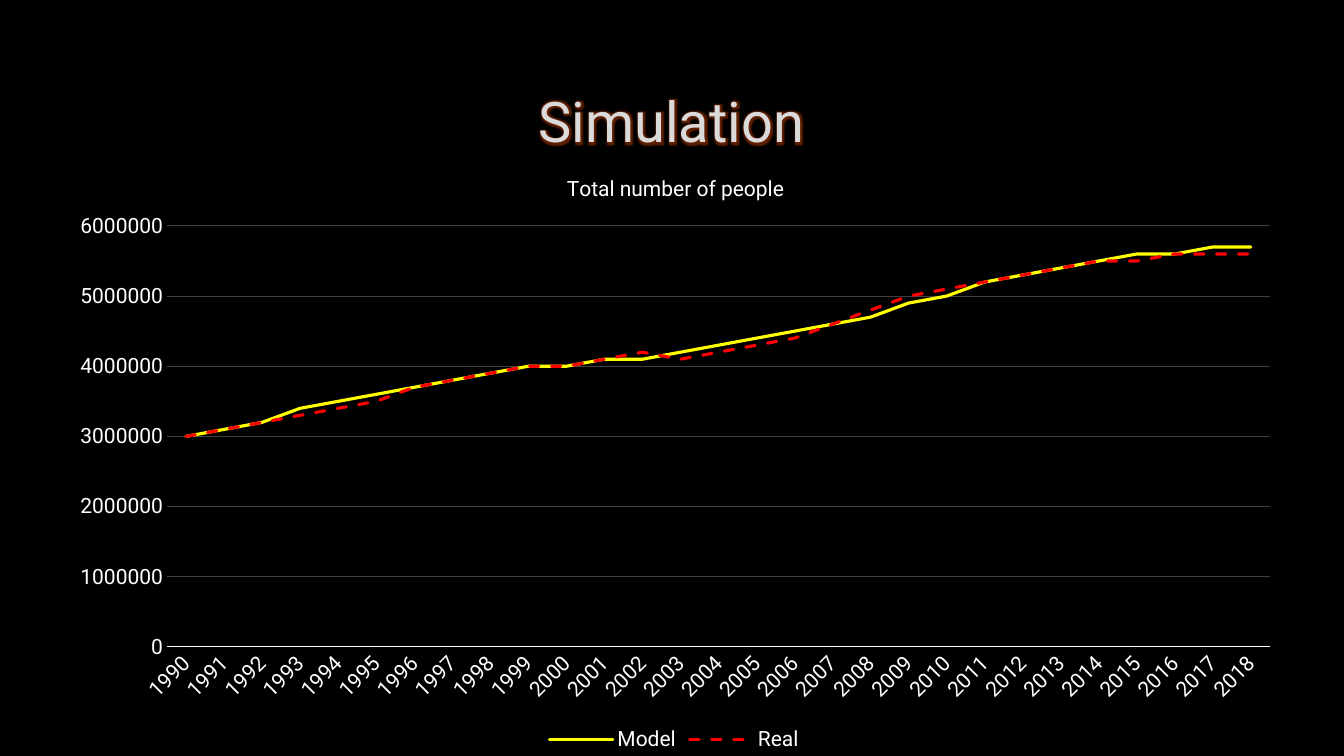
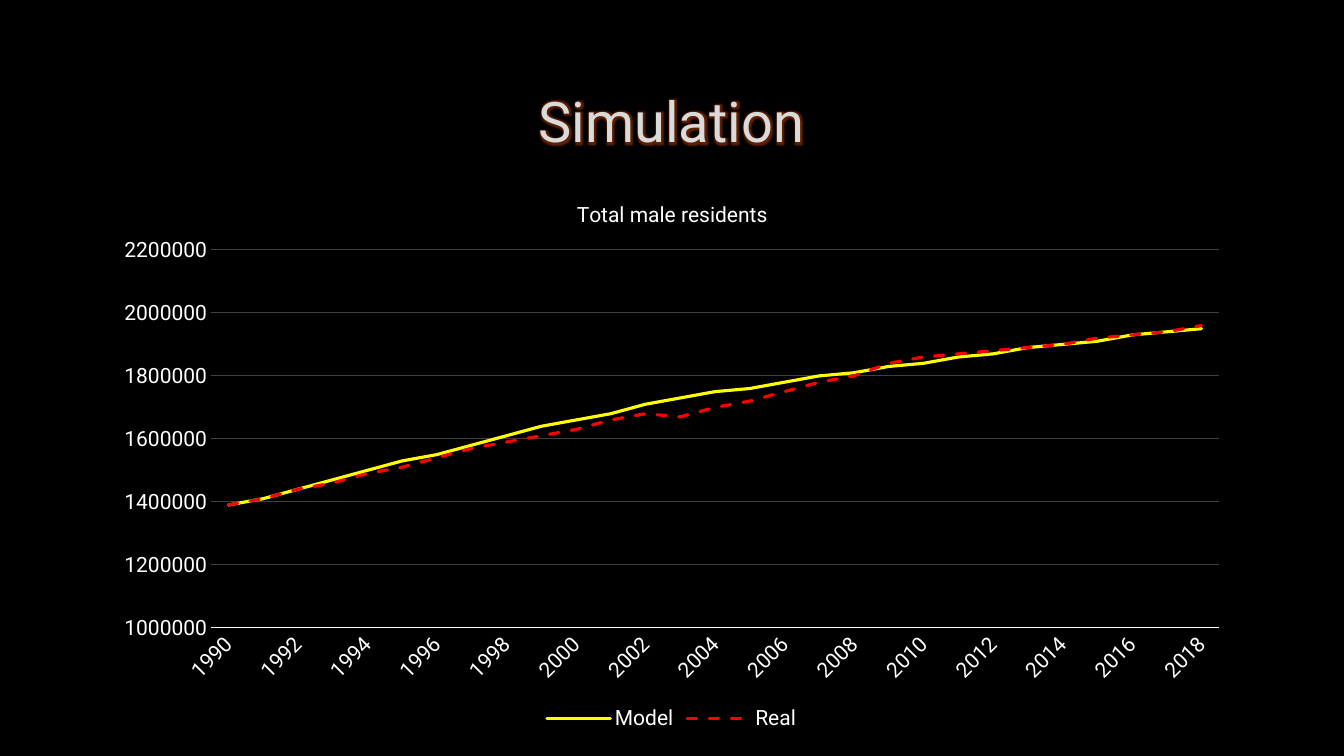
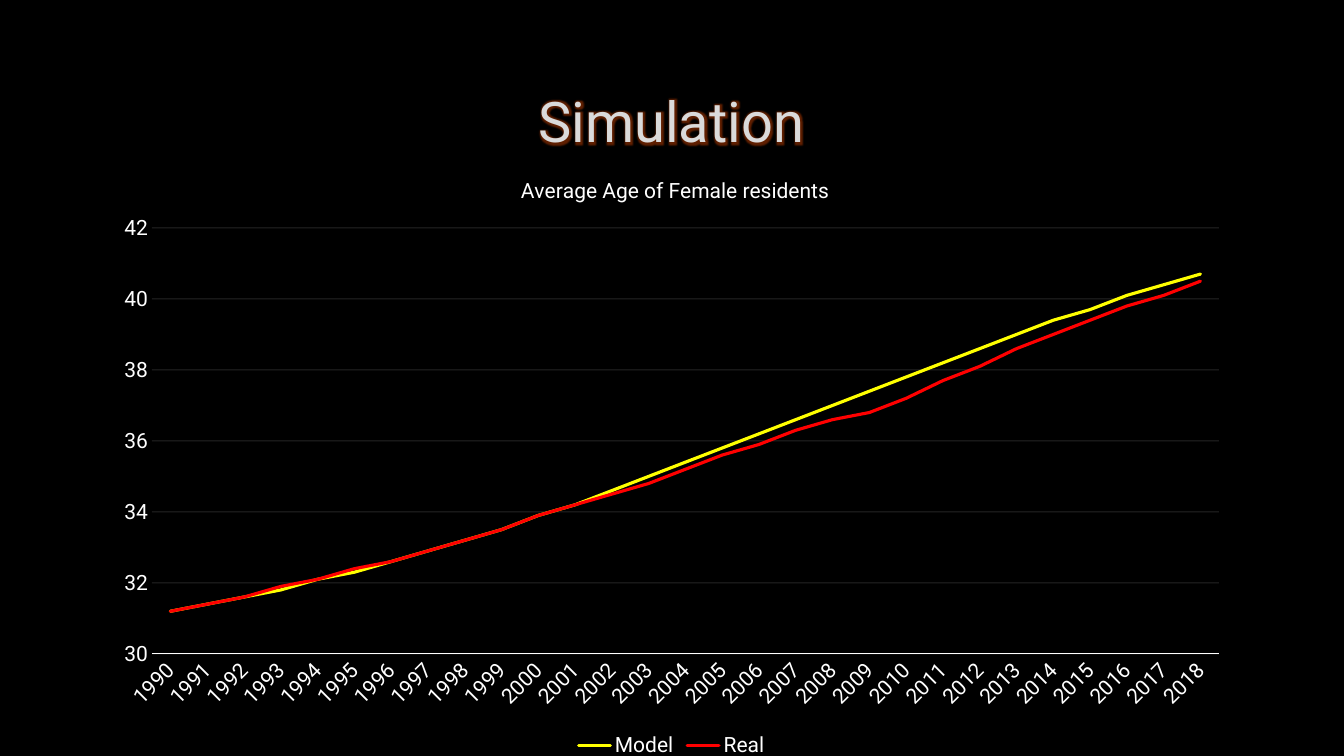
from dataclasses import dataclass

from lxml.etree import SubElement
from pptx import Presentation
from pptx.chart.data import CategoryChartData as ChartData
from pptx.dml.color import RGBColor
from pptx.enum.chart import XL_CHART_TYPE as ChartType
from pptx.enum.chart import XL_LEGEND_POSITION as LegendPosition
from pptx.enum.chart import XL_TICK_MARK as TickMark
from pptx.enum.dml import MSO_LINE as Dash
from pptx.enum.text import MSO_ANCHOR as Anchor
from pptx.enum.text import PP_ALIGN as Align
from pptx.oxml import parse_xml
from pptx.oxml.ns import nsdecls, qn
from pptx.util import Pt

SLIDE_W, SLIDE_H = 1344, 756
EMU_PER_PX = 12192000 / SLIDE_W
YEARS = [str(year) for year in range(1990, 2019)]


@dataclass(frozen=True)
class Theme:
    """Colours, font and type sizes of the deck."""
    font: str = "Roboto"
    background: str = "000000"
    title: str = "DADADA"
    outline: str = "404040"
    glow: str = "F24F00"
    text: str = "FFFFFF"
    grid: str = "404040"
    model: str = "FFFF00"
    real: str = "FF0000"
    title_size: int = 40
    chart_size: int = 15
    hairline: float = 0.75
    curve: float = 2.25


def px(length):
    """Turn px into EMU."""
    return round(length * EMU_PER_PX)


def rgb(colour):
    """Turn a hex string into a colour."""
    return RGBColor.from_string(colour)


def fill_xml(colour, alpha):
    """Return a translucent solid fill, alpha in percent."""
    return (f'<a:solidFill {nsdecls("a")}><a:srgbClr val="{colour}">'
            f'<a:alpha val="{alpha * 1000}"/></a:srgbClr></a:solidFill>')


class Deck:
    """Holds the theme and the current slide."""

    def __init__(self, theme):
        """Start an empty deck."""
        self.theme = theme
        self.prs = Presentation()
        self.prs.slide_width, self.prs.slide_height = px(SLIDE_W), px(SLIDE_H)
        self.slide = None

    def add_slide(self, title):
        """Add a dark slide with its glowing title."""
        self.slide = self.prs.slides.add_slide(self.prs.slide_layouts[6])
        background = self.slide.background.fill
        background.solid()
        background.fore_color.rgb = rgb(self.theme.background)
        self.title(title)

    def style(self, font, size, colour):
        """Set the deck font in one size and colour."""
        font.name, font.size, font.bold = self.theme.font, Pt(size), False
        font.color.rgb = rgb(colour)

    def title(self, text):
        """Place the slide title."""
        theme = self.theme
        box = self.slide.shapes.add_textbox(px(101), px(67), px(1141), px(107))
        frame = box.text_frame
        frame.word_wrap = True
        frame.vertical_anchor = Anchor.MIDDLE
        paragraph = frame.paragraphs[0]
        paragraph.alignment = Align.CENTER
        self.style(paragraph.font, theme.title_size, theme.title)
        run = paragraph.add_run()
        run.text = text
        props = run._r.get_or_add_rPr()
        props.append(parse_xml(
            f'<a:ln {nsdecls("a")} w="{Pt(theme.hairline)}">'
            f'{fill_xml(theme.outline, 10)}</a:ln>'))
        props.append(parse_xml(
            f'<a:effectLst {nsdecls("a")}><a:glow rad="{px(7)}">'
            f'<a:srgbClr val="{theme.glow}"><a:alpha val="40000"/></a:srgbClr>'
            f'</a:glow></a:effectLst>'))

    def place(self, parent, before, frame, area, inner=False):
        """Give a chart part a manual place inside the chart frame."""
        left, top, width, height = frame
        for old in parent.findall(qn("c:layout")):
            parent.remove(old)
        layout = parse_xml(f'<c:layout {nsdecls("c")}><c:manualLayout/></c:layout>')
        manual = layout[0]
        settings = {"layoutTarget": "inner"} if inner else {}
        settings |= {"xMode": "edge", "yMode": "edge",
                     "x": (area[0] - left) / width, "y": (area[1] - top) / height}
        if inner:
            settings |= {"w": area[2] / width, "h": area[3] / height}
        for tag, value in settings.items():
            SubElement(manual, qn(f"c:{tag}")).set("val", str(value))
        parent.insert(before, layout)

    def curve(self, series, colour, dashed):
        """Draw one series as a plain round-capped line."""
        series.smooth = False
        line = series.format.line
        line.color.rgb = rgb(colour)
        line.width = Pt(self.theme.curve)
        if dashed:
            line.dash_style = Dash.DASH
        line._get_or_add_ln().set("cap", "rnd")

    def axes(self, chart, scale, label_step, grid_alpha):
        """Style both axes and the gridlines."""
        theme = self.theme
        years, values = chart.category_axis, chart.value_axis
        for axis in (years, values):
            axis.major_tick_mark = axis.minor_tick_mark = TickMark.NONE
            self.style(axis.tick_labels.font, theme.chart_size, theme.text)
        years.format.line.color.rgb = rgb(theme.text)
        years.format.line.width = Pt(theme.hairline)
        years._element.find(qn("c:txPr")).find(qn("a:bodyPr")).set("rot", "-2700000")
        skip = parse_xml(f'<c:tickLblSkip {nsdecls("c")} val="{label_step}"/>')
        years._element.find(qn("c:noMultiLvlLbl")).addprevious(skip)
        values.minimum_scale, values.maximum_scale, values.major_unit = scale
        values.tick_labels.number_format = "0"
        values.tick_labels.number_format_is_linked = False
        values.format.line.fill.background()
        grid = values.major_gridlines.format.line
        grid.width = Pt(theme.hairline)
        grid.color.rgb = rgb(theme.grid)
        if grid_alpha:
            ln = grid._get_or_add_ln()
            ln.replace(ln.find(qn("a:solidFill")),
                       parse_xml(fill_xml(theme.text, grid_alpha)))

    def line_chart(self, title, title_at, frame, plot, scale, model, real,
                   unit=1, label_step=1, dashed=True, grid_alpha=None):
        """Add a chart of the model against the real values."""
        theme = self.theme
        data = ChartData()
        data.categories = YEARS
        for name, values in (("Model", model), ("Real", real)):
            data.add_series(name, [value * unit for value in values])
        chart = self.slide.shapes.add_chart(
            ChartType.LINE, *map(px, frame), data).chart
        self.style(chart.font, 10, theme.text)

        heading = chart.chart_title.text_frame
        heading.text = title
        self.style(heading.paragraphs[0].font, theme.chart_size, theme.text)
        self.place(chart.chart_title._element, 1, frame, title_at)

        chart.has_legend = True
        chart.legend.position = LegendPosition.BOTTOM
        chart.legend.include_in_layout = False
        self.style(chart.legend.font, theme.chart_size, theme.text)

        chart.plots[0].vary_by_categories = False
        model_line, real_line = chart.plots[0].series
        self.curve(model_line, theme.model, False)
        self.curve(real_line, theme.real, dashed)
        self.axes(chart, scale, label_step, grid_alpha)
        self.place(chart._chartSpace.chart.plotArea, 0, frame, plot, inner=True)


def main():
    """Build and save the deck."""
    deck = Deck(Theme())

    deck.add_slide("Simulation")
    deck.line_chart(
        "Total number of people", (563, 170), (54, 146, 1240, 610),
        (167, 226, 1103, 421), (0, 6000000, 1000000),
        model=[30, 31, 32, 34, 35, 36, 37, 38, 39, 40, 40, 41, 41, 42, 43,
               44, 45, 46, 47, 49, 50, 52, 53, 54, 55, 56, 56, 57, 57],
        real=[30, 31, 32, 33, 34, 35, 37, 38, 39, 40, 40, 41, 42, 41, 42,
              43, 44, 46, 48, 50, 51, 52, 53, 54, 55, 55, 56, 56, 56],
        unit=100000)

    deck.add_slide("Simulation")
    deck.line_chart(
        "Total male residents", (573, 196), (101, 174, 1141, 561),
        (211, 250, 1008, 378), (1000000, 2200000, 200000),
        model=[139, 141, 144, 147, 150, 153, 155, 158, 161, 164,
               166, 168, 171, 173, 175, 176, 178, 180, 181, 183,
               184, 186, 187, 189, 190, 191, 193, 194, 195],
        real=[139, 141, 144, 146, 149, 151, 154, 157, 159, 161,
              163, 166, 168, 167, 170, 172, 175, 178, 180, 184,
              186, 187, 188, 189, 190, 192, 193, 194, 196],
        unit=10000, label_step=2)

    deck.add_slide("Simulation")
    deck.line_chart(
        "Average Age of Female residents", (517, 172), (101, 148, 1141, 614),
        (152, 228, 1067, 426), (30, 42, 2),
        model=[31.2, 31.4, 31.6, 31.8, 32.1, 32.3, 32.6, 32.9, 33.2, 33.5,
               33.9, 34.2, 34.6, 35, 35.4, 35.8, 36.2, 36.6, 37, 37.4,
               37.8, 38.2, 38.6, 39, 39.4, 39.7, 40.1, 40.4, 40.7],
        real=[31.2, 31.4, 31.6, 31.9, 32.1, 32.4, 32.6, 32.9, 33.2, 33.5,
              33.9, 34.2, 34.5, 34.8, 35.2, 35.6, 35.9, 36.3, 36.6, 36.8,
              37.2, 37.7, 38.1, 38.6, 39, 39.4, 39.8, 40.1, 40.5],
        dashed=False, grid_alpha=14)

    deck.prs.save("out.pptx")


if __name__ == "__main__":
    main()
